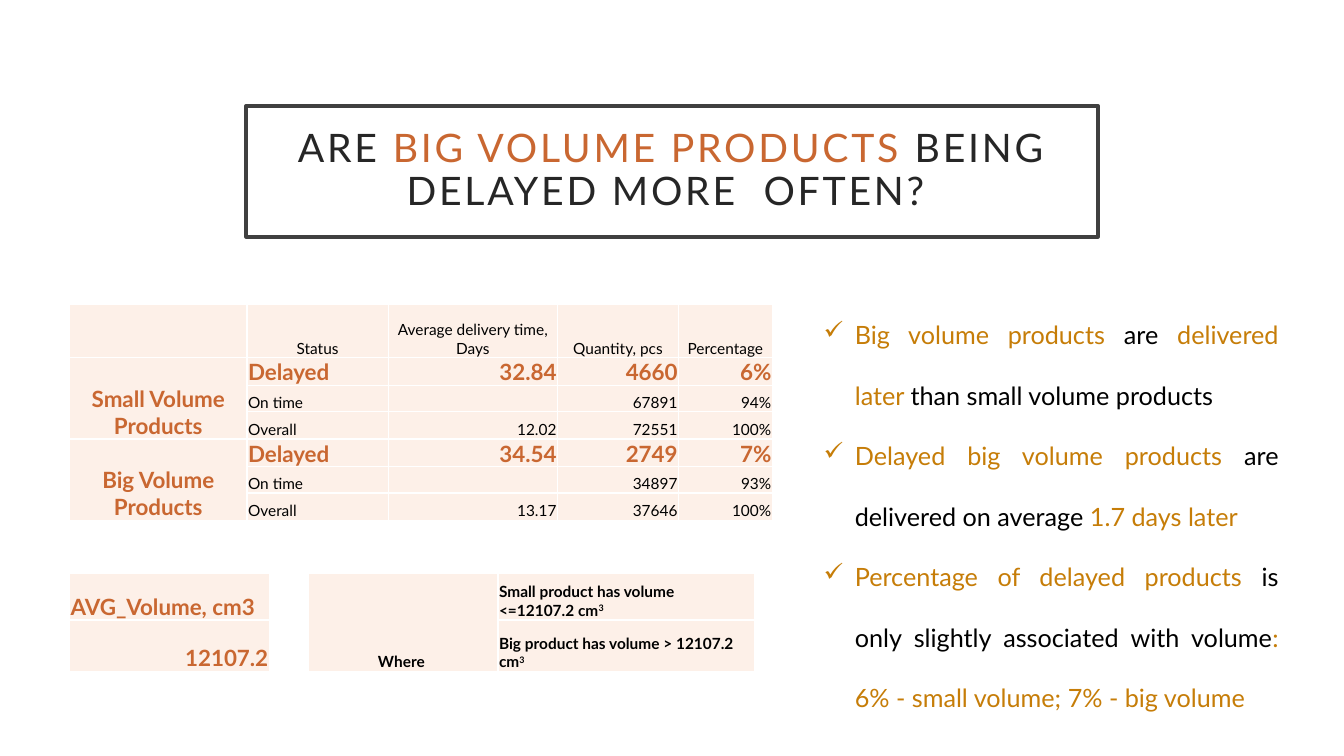
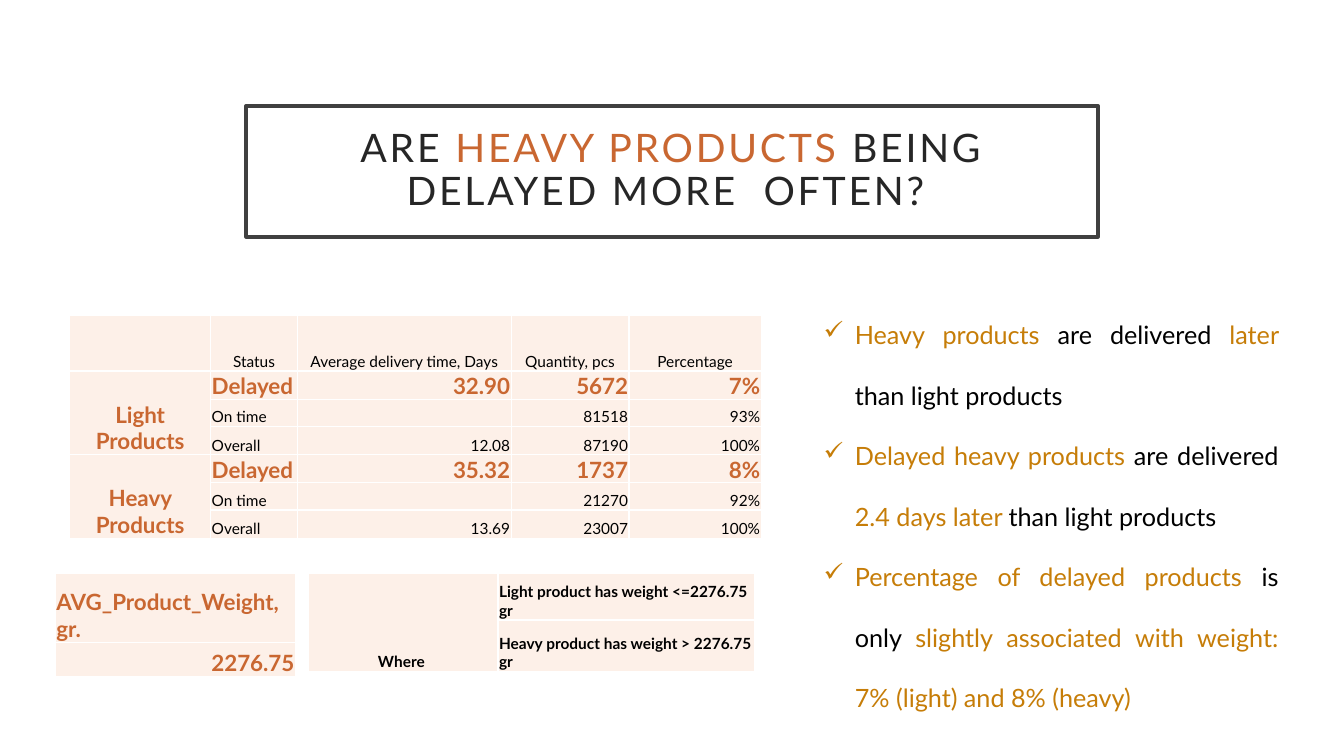
import pptx
import pptx.util
import pptx.dml.color
import pptx.enum.text
import pptx.oxml.ns
import lxml.etree

Inches, Pt = pptx.util.Inches, pptx.util.Pt
qn = pptx.oxml.ns.qn
ALIGN = pptx.enum.text.PP_ALIGN
ANCHOR = pptx.enum.text.MSO_ANCHOR
FIT = pptx.enum.text.MSO_AUTO_SIZE
COLORS = {"ink": "262626", "frame": "404040", "accent": "C96731", "gold": "C67D08",
          "black": "000000", "white": "FFFFFF", "cell": "FDF0E8"}


def rgb(name):
    return pptx.dml.color.RGBColor.from_string(COLORS[name])


def add_xml(parent, tag, **attrs):
    return lxml.etree.SubElement(parent, qn(tag), **attrs)


class Deck:
    font = "Lato"

    def __init__(self):
        self.prs = pptx.Presentation()
        self.prs.slide_width, self.prs.slide_height = Inches(13.33), Inches(7.5)

    def add_slide(self):
        self.slide = self.prs.slides.add_slide(self.prs.slide_layouts[5])

    def style(self, p, size, bold=False):
        p.font.name, p.font.size, p.font.bold = self.font, Pt(size), bold

    def add_runs(self, p, texts, colors):
        """Add runs whose colours alternate between the given two."""
        for i, text in enumerate(texts):
            r = p.add_run()
            r.text = text
            r.font.color.rgb = rgb(colors[i % 2])

    def title(self, texts):
        sp = self.slide.shapes.title
        sp.left, sp.top = Inches(2.44), Inches(1.05)
        sp.width, sp.height = Inches(8.45), Inches(1.3)
        sp.fill.solid()
        sp.fill.fore_color.rgb = rgb("white")
        sp.line.color.rgb = rgb("frame")
        sp.line.width = Pt(2.5)
        tf = sp.text_frame
        tf.word_wrap, tf.auto_size = True, FIT.NONE
        tf.vertical_anchor = ANCHOR.MIDDLE
        tf.margin_left = tf.margin_right = tf.margin_top = tf.margin_bottom = Inches(0.2)
        p = tf.paragraphs[0]
        p.alignment, p.line_spacing = ALIGN.CENTER, 0.9
        self.style(p, 28)
        p.font._rPr.set("spc", "200")
        self.add_runs(p, texts, ("ink", "accent"))

    def bullets(self, height, items):
        sp = self.slide.shapes.add_textbox(Inches(8.07), Inches(2.82), Inches(4.71), Inches(height))
        tf = sp.text_frame
        tf.word_wrap, tf.auto_size = True, FIT.SHAPE_TO_FIT_TEXT
        for i, texts in enumerate(items):
            p = tf.add_paragraph() if i else tf.paragraphs[0]
            p.alignment, p.line_spacing = ALIGN.JUSTIFY, 2.0
            pPr = p._p.get_or_add_pPr()
            pPr.set("marL", str(Inches(0.31)))
            pPr.set("indent", str(-Inches(0.31)))
            add_xml(pPr, "a:buChar", char="✓")
            self.style(p, 18)
            self.add_runs(p, texts, ("gold", "black"))

    def cell(self, cell, text, size, color, bold, align):
        cell.margin_left = cell.margin_right = cell.margin_top = Inches(0.01)
        cell.margin_bottom = 0
        cell.vertical_anchor = ANCHOR.BOTTOM
        tcPr = cell._tc.get_or_add_tcPr()
        for side in ("a:lnL", "a:lnR", "a:lnT", "a:lnB"):
            line = add_xml(tcPr, side, w=str(Pt(1)))
            add_xml(add_xml(line, "a:solidFill"), "a:srgbClr", val=COLORS["white"])
        cell.fill.solid()
        cell.fill.fore_color.rgb = rgb("cell")
        p = cell.text_frame.paragraphs[0]
        p.alignment = align
        self.style(p, size, bold)
        if not text:
            add_xml(p._p, "a:endParaRPr", sz=str(size * 100))
            return
        # A caret marks the start of a superscript
        base, _, power = text.partition("^")
        self.add_runs(p, [part for part in (base, power) if part], (color, color))
        if power:
            p.runs[1].font._rPr.set("baseline", "30000")

    def table(self, left, top, cols, heights, rows, look, merges=()):
        """Draw rows of text; look(row, column) gives size, colour, bold and alignment."""
        frame = self.slide.shapes.add_table(len(rows), len(cols), Inches(left), Inches(top),
                                            Inches(sum(cols)), Inches(sum(heights)))
        table = frame.table
        table.first_row = table.horz_banding = False
        for column, width in zip(table.columns, cols):
            column.width = Inches(width)
        for row, height in zip(table.rows, heights):
            row.height = Inches(height)
        for r, texts in enumerate(rows):
            for c, text in enumerate(texts):
                self.cell(table.cell(r, c), text, *look(r, c))
        for first, last in merges:
            table.cell(first, 0).merge(table.cell(last, 0))

    def delivery_table(self, top, cols, header_height, group_heights, groups):
        rows = [["", "Status", "Average delivery time, Days", "Quantity, pcs", "Percentage"]]
        for name, delayed, on_time, overall in groups:
            rows += [[name, "Delayed", *delayed], ["", "On time", "", *on_time],
                     ["", "Overall", *overall]]

        def look(r, c):
            align = ALIGN.CENTER if r == 0 or c == 0 else ALIGN.LEFT if c == 1 else ALIGN.RIGHT
            strong = r in (1, 4)
            return (16, "accent", True, align) if strong else (11, "black", False, align)

        self.table(0.69, top, cols, [header_height] + group_heights * 2, rows, look,
                   [(1, 3), (4, 6)])

    def average_table(self, left, width, heights, label, value):
        self.table(left, 5.69, [width], heights, [[label], [value]],
                   lambda r, c: (16, "accent", True, ALIGN.RIGHT if r else ALIGN.LEFT))

    def where_table(self, low, high):
        self.table(3.06, 5.69, [1.88, 2.54], [0.46, 0.51], [["Where ", low], ["", high]],
                   lambda r, c: (11, "black", True, ALIGN.LEFT if c else ALIGN.CENTER), [(0, 1)])


deck = Deck()

# Volume and delays
deck.add_slide()
deck.title(["ARE ", "BIG VOLUME PRODUCTS ", "BEING DELAYED MORE  OFTEN? "])
deck.delivery_table(3.02, [1.76, 1.4, 1.68, 1.2, 0.93], 0.53, [0.27, 0.26, 0.27], [
    ("Small Volume Products", ("32.84", "4660", "6%"), ("67891", "94%"),
     ("12.02", "72551", "100%")),
    ("Big Volume Products", ("34.54", "2749", "7%"), ("34897", "93%"),
     ("13.17", "37646", "100%")),
])
deck.average_table(0.69, 1.98, [0.46, 0.51], "AVG_Volume, cm3", "12107.2")
deck.where_table("Small product has volume <=12107.2 cm^3", "Big product has volume > 12107.2 cm^3 ")
deck.bullets(4.64, [
    ["Big volume products ", "are ", "delivered later ", "than small volume products"],
    ["Delayed big volume products ", "are delivered on average ", "1.7 days later"],
    ["Percentage of delayed products ", "is only slightly associated with volume",
     ": 6% - small volume; 7% - big volume"],
])

# Weight and delays
deck.add_slide()
deck.title(["ARE ", "HEAVY PRODUCTS ", "BEING DELAYED MORE  OFTEN? "])
deck.where_table("Light product has weight <=2276.75 gr", "Heavy product has weight > 2276.75 gr")
deck.bullets(4.34, [
    ["Heavy products ", "are delivered ", "later ", "than light products"],
    ["Delayed heavy products ", "are delivered ", "2.4 days later ", "than light products"],
    ["Percentage of delayed products ", "is only ",
     "slightly associated with weight: 7% (light) and 8% (heavy)"],
])
deck.delivery_table(3.13, [1.4, 0.86, 2.12, 1.17, 1.31], 0.55, [0.28, 0.27, 0.28], [
    ("Light Products", ("32.90", "5672", "7%"), ("81518", "93%"), ("12.08", "87190", "100%")),
    ("Heavy Products", ("35.32", "1737", "8%"), ("21270", "92%"), ("13.69", "23007", "100%")),
])
deck.average_table(0.55, 2.38, [0.68, 0.34], "AVG_Product_Weight, gr.", "2276.75")

deck.prs.save("out.pptx")
